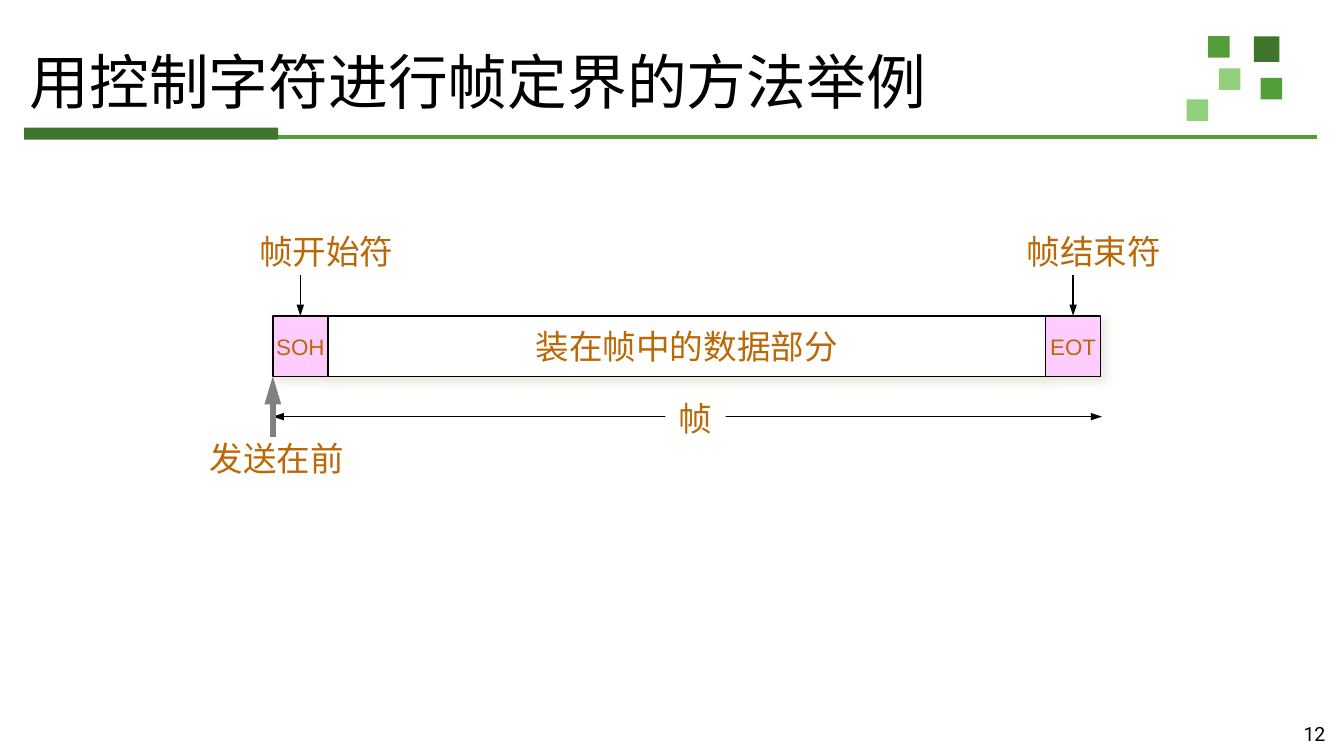
from dataclasses import dataclass

from lxml import etree
from pptx import Presentation
from pptx.dml.color import RGBColor
from pptx.enum.shapes import MSO_CONNECTOR as Connector, MSO_SHAPE as Shape
from pptx.enum.text import MSO_ANCHOR as Anchor, MSO_AUTO_SIZE as AutoSize, PP_ALIGN as Align
from pptx.oxml.ns import qn
from pptx.util import Inches, Pt


@dataclass(frozen=True)
class Theme:
    black: str = "000000"
    white: str = "FFFFFF"
    dark_green: str = "3F762B"
    green: str = "549E39"
    light_green: str = "93D07D"
    pink: str = "FFCCFF"
    label: str = "BA6906"
    gray: str = "808080"
    shadow: str = "E3DED1"
    title_size: float = 32
    label_size: float = 18
    code_size: float = 12
    number_size: float = 10.5
    title_font: str = "Times New Roman"
    body_font: str = "Arial"
    number_font: str = "Roboto"


THEME = Theme()
SLIDE_WIDTH = 10
SLIDE_HEIGHT = SLIDE_WIDTH * 9 / 16
CELL_TOP, CELL_HEIGHT = 2.35, 0.45
FRAME_LEFT, FRAME_RIGHT = 2.03, 8.2
CONTROL_WIDTH, DATA_WIDTH = 0.41, 5.34


def color(value):
    return RGBColor.from_string(value)


def write(shape, text, size, font=THEME.body_font, ink=THEME.label, align=Align.LEFT):
    paragraph = shape.text_frame.paragraphs[0]
    paragraph.text = text
    paragraph.alignment = align
    run_font = paragraph.runs[0].font
    run_font.size = Pt(size)
    run_font.name = font
    run_font.color.rgb = color(ink)
    return paragraph


def add_title(slide, text):
    title = slide.shapes.title
    title.left, title.top = Inches(0.15), Inches(0.28)
    title.width, title.height = Inches(9.63), Inches(0.71)
    frame = title.text_frame
    frame.margin_left = frame.margin_right = Inches(0.07)
    frame.margin_top = frame.margin_bottom = Inches(0.04)
    frame.vertical_anchor = Anchor.MIDDLE
    frame.auto_size = AutoSize.NONE
    paragraph = write(title, text, THEME.title_size, THEME.title_font, THEME.black)
    paragraph.line_spacing = 0.9


def add_block(slide, left, top, width, height, fill):
    block = slide.shapes.add_shape(
        Shape.RECTANGLE, Inches(left), Inches(top), Inches(width), Inches(height))
    block.shadow.inherit = False
    block.fill.solid()
    block.fill.fore_color.rgb = color(fill)
    block.line.fill.background()
    return block


def add_soft_shadow(shape):
    effects = shape._element.spPr.find(qn("a:effectLst"))
    shadow = etree.SubElement(
        effects, qn("a:outerShdw"), blurRad=str(Pt(5)), dist=str(Pt(3)),
        dir=str(45 * 60000), algn="ctr", rotWithShape="0")
    tint = etree.SubElement(shadow, qn("a:srgbClr"), val=THEME.shadow)
    etree.SubElement(tint, qn("a:alpha"), val="75000")


def add_cell(slide, left, width, fill, text, size):
    cell = add_block(slide, left, CELL_TOP, width, CELL_HEIGHT, fill)
    cell.line.color.rgb = color(THEME.black)
    cell.line.width = Pt(0.75)
    add_soft_shadow(cell)
    cell.text_frame.word_wrap = False
    cell.text_frame.vertical_anchor = Anchor.MIDDLE
    write(cell, text, size, align=Align.CENTER)
    return cell


def add_label(slide, left, top, width, text, fill=None):
    label = slide.shapes.add_textbox(Inches(left), Inches(top), Inches(width), Inches(0.4))
    label.text_frame.word_wrap = False
    label.text_frame.auto_size = AutoSize.SHAPE_TO_FIT_TEXT
    if fill:
        label.fill.solid()
        label.fill.fore_color.rgb = color(fill)
    write(label, text, THEME.label_size)


def add_line(slide, start, end, ink=THEME.black, width=0.75, arrow_ends=(), arrow=("sm", "med")):
    """Draw a straight line; arrow_ends names "headEnd" and "tailEnd", arrow is its width, length."""
    points = [Inches(value) for value in (*start, *end)]
    line = slide.shapes.add_connector(Connector.STRAIGHT, *points)
    line.line.color.rgb = color(ink)
    line.line.width = Pt(width)
    arrow_width, arrow_length = arrow
    for arrow_end in arrow_ends:
        etree.SubElement(line.line._get_or_add_ln(), qn(f"a:{arrow_end}"),
                         type="triangle", w=arrow_width, len=arrow_length)
    etree.SubElement(line._element.spPr, qn("a:effectLst"))
    return line


def add_decoration(slide):
    squares = [
        (9.33, 0.27, 0.19, THEME.dark_green),
        (8.99, 0.27, 0.16, THEME.green),
        (9.38, 0.58, 0.16, THEME.green),
        (9.07, 0.51, 0.16, THEME.light_green),
        (8.83, 0.74, 0.16, THEME.light_green),
    ]
    for left, top, side, fill in squares:
        add_block(slide, left, top, side, side, fill)
    add_block(slide, 0.18, 0.95, 1.89, 0.09, THEME.dark_green)
    add_line(slide, (2.07, 1.02), (9.8, 1.02), THEME.green, 2)


def add_control_name(slide, cell, center, left, name):
    pointer = add_line(slide, (center, 2.05), (center, CELL_TOP), arrow_ends=["tailEnd"])
    pointer.end_connect(cell, 0)
    add_label(slide, left, 1.67, 1.21, name)


def add_frame_diagram(slide):
    data_left = FRAME_LEFT + CONTROL_WIDTH
    end_left = data_left + DATA_WIDTH
    half = CONTROL_WIDTH / 2
    start_cell = add_cell(slide, FRAME_LEFT, CONTROL_WIDTH, THEME.pink, "SOH", THEME.code_size)
    add_cell(slide, data_left, DATA_WIDTH, THEME.white, "装在帧中的数据部分", THEME.label_size)
    end_cell = add_cell(slide, end_left, CONTROL_WIDTH, THEME.pink, "EOT", THEME.code_size)

    add_line(slide, (FRAME_LEFT, 3.1), (FRAME_RIGHT, 3.1), arrow_ends=["headEnd", "tailEnd"])
    add_label(slide, 4.95, 2.91, 0.45, "帧", THEME.white)
    add_control_name(slide, start_cell, FRAME_LEFT + half, 1.83, "帧开始符")
    add_control_name(slide, end_cell, end_left + half, 7.54, "帧结束符")
    add_line(slide, (FRAME_LEFT, 3.25), (FRAME_LEFT, CELL_TOP + CELL_HEIGHT),
             THEME.gray, 3, ["tailEnd"], ("med", "lg"))
    add_label(slide, 1.46, 3.21, 1.21, "发送在前")


def add_slide_number(slide, number):
    box = slide.shapes.add_textbox(Inches(9.38), Inches(5.32), Inches(0.58), Inches(0.3))
    box.text_frame.word_wrap = True
    write(box, number, THEME.number_size, THEME.number_font, THEME.black, Align.RIGHT)


def main():
    presentation = Presentation()
    presentation.slide_width = Inches(SLIDE_WIDTH)
    presentation.slide_height = Inches(SLIDE_HEIGHT)
    slide = presentation.slides.add_slide(presentation.slide_layouts[5])
    add_decoration(slide)
    add_title(slide, "用控制字符进行帧定界的方法举例")
    add_frame_diagram(slide)
    add_slide_number(slide, "12")
    presentation.save("out.pptx")


if __name__ == "__main__":
    main()
